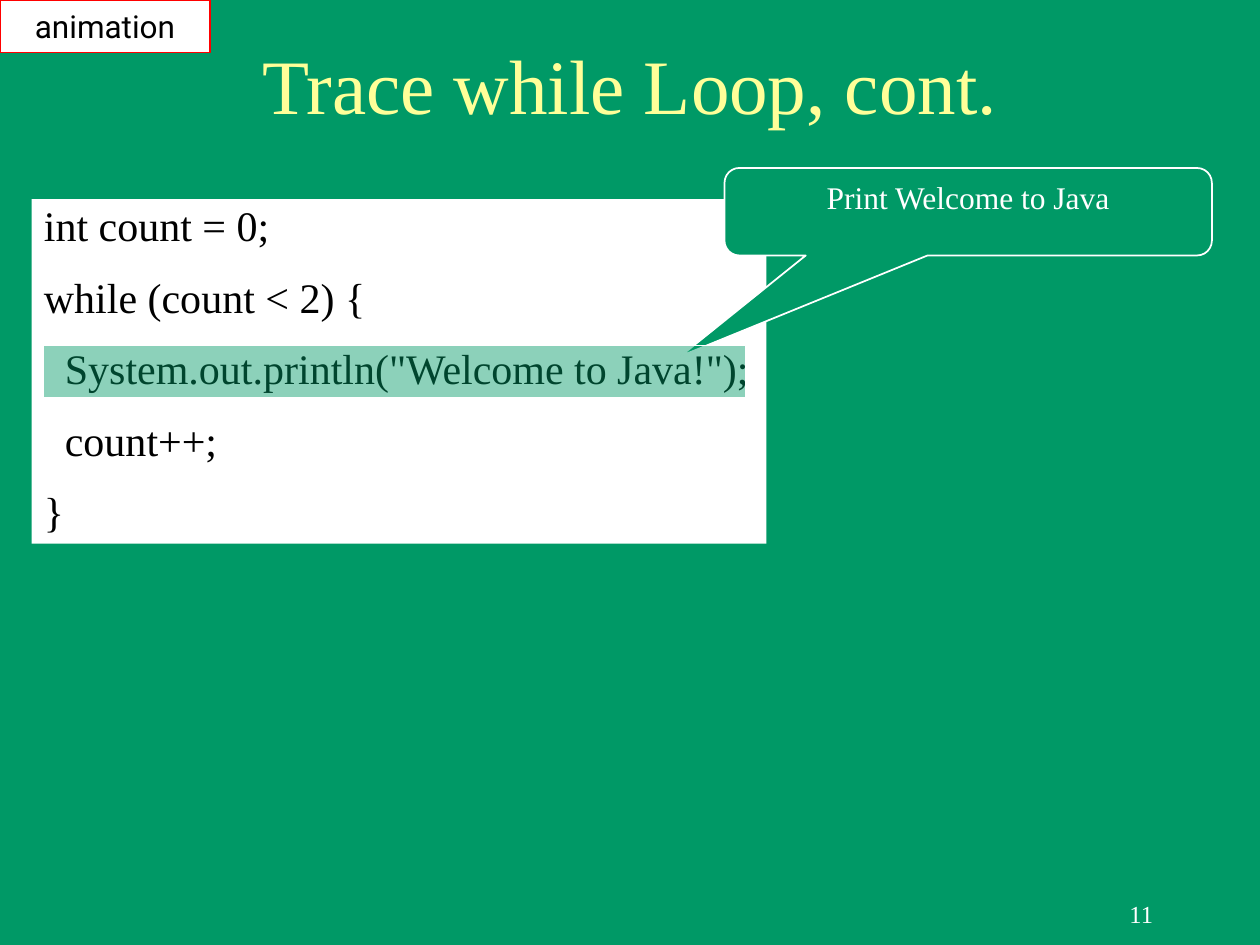
import pptx
import pptx.dml.color
import pptx.enum.shapes
import pptx.enum.text
import pptx.oxml.ns
import pptx.util
from lxml import etree

Pt = pptx.util.Pt
SHAPE = pptx.enum.shapes.MSO_SHAPE
ALIGN = pptx.enum.text.PP_ALIGN
ANCHOR = pptx.enum.text.MSO_ANCHOR
SERIF = "Times New Roman"
COLORS = {
    "green": "009966",
    "yellow": "FFFF99",
    "white": "FFFFFF",
    "black": "000000",
    "red": "FF0000",
}


def add_box(kind, left, top, width, height, fill, line=None):
    box = slide.shapes.add_shape(kind, Pt(left), Pt(top), Pt(width), Pt(height))
    box.shadow.inherit = False
    box.fill.solid()
    box.fill.fore_color.rgb = pptx.dml.color.RGBColor.from_string(COLORS[fill])
    if line:
        box.line.color.rgb = pptx.dml.color.RGBColor.from_string(COLORS[line])
        box.line.width = Pt(1)
    else:
        box.line.fill.background()
    return box


def write(box, lines, size, color, align, anchor, font=SERIF, wrap=True):
    frame = box.text_frame
    frame.word_wrap = wrap
    frame.vertical_anchor = anchor
    frame.margin_left = frame.margin_right = Pt(7.2)
    frame.margin_top = frame.margin_bottom = Pt(3.6)
    for index, line in enumerate(lines):
        paragraph = frame.add_paragraph() if index else frame.paragraphs[0]
        paragraph.alignment = align
        run = paragraph.add_run()
        run.text = line
        run.font.name = font
        run.font.size = Pt(size)
        run.font.color.rgb = pptx.dml.color.RGBColor.from_string(COLORS[color])


deck = pptx.Presentation()
deck.slide_width, deck.slide_height = Pt(720), Pt(540)
slide = deck.slides.add_slide(deck.slide_layouts[6])
slide.background.fill.solid()
slide.background.fill.fore_color.rgb = pptx.dml.color.RGBColor.from_string(COLORS["green"])

# Page number and title
page_number = slide.shapes.add_textbox(Pt(516), Pt(504), Pt(150), Pt(36))
write(page_number, ["11"], 14, "white", ALIGN.RIGHT, ANCHOR.MIDDLE)
title = slide.shapes.add_textbox(Pt(54), Pt(18), Pt(612), Pt(60))
write(title, ["Trace while Loop, cont."], 44, "yellow", ALIGN.CENTER, ANCHOR.MIDDLE)

# Code listing
code = add_box(SHAPE.RECTANGLE, 18, 113.75, 420, 197, "white")
code_lines = [
    "int count = 0;",
    "while (count < 2) {",
    '  System.out.println("Welcome to Java!");',
    "  count++;",
    "}",
]
write(code, code_lines, 24, "black", ALIGN.LEFT, ANCHOR.TOP)
for paragraph in code.text_frame.paragraphs:
    paragraph.line_spacing = 0.9
    paragraph.space_before = Pt(15)

# Callout pointing at the current statement
callout = add_box(SHAPE.ROUNDED_RECTANGULAR_CALLOUT, 414, 96, 278.5, 50, "green", "white")
for index, value in enumerate([-0.59, 1.65, 0.17]):
    callout.adjustments[index] = value
write(callout, ["Print Welcome to Java"], 18, "white", ALIGN.CENTER, ANCHOR.TOP)

# Translucent highlight over the current statement
highlight = add_box(SHAPE.RECTANGLE, 24.5, 197.5, 401.5, 30, "green", "white")
fill_color = highlight.fill._xPr.find(".//" + pptx.oxml.ns.qn("a:srgbClr"))
etree.SubElement(fill_color, pptx.oxml.ns.qn("a:alpha"), val="45000")

# Animation badge
badge = add_box(SHAPE.RECTANGLE, 0, 0, 120, 30, "white", "red")
write(badge, ["animation"], 18, "black", ALIGN.CENTER, ANCHOR.MIDDLE, font="Roboto", wrap=False)

deck.save("out.pptx")
